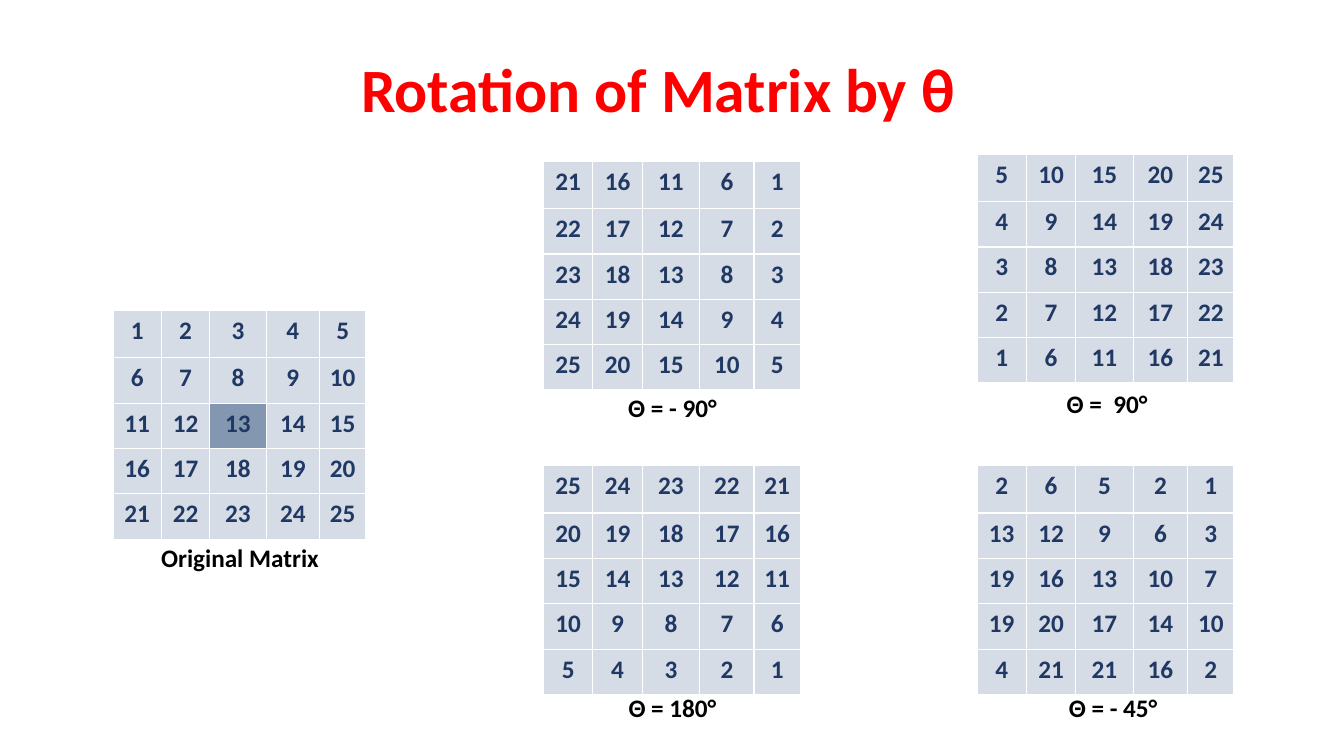
import lxml.etree
import pptx
import pptx.dml.color
import pptx.enum.text
import pptx.oxml.ns
import pptx.util

Inches = pptx.util.Inches
COLORS = {
    "title": "FF0000",
    "number": "203864",
    "cell": "D6DCE5",
    "pivot": "8497B0",
    "border": "FFFFFF",
    "caption": "000000",
}
COLUMN_WIDTHS = [0.49, 0.49, 0.57, 0.54, 0.46]
ORIGINAL_WIDTHS = [0.48, 0.48, 0.56, 0.53, 0.46]
ROW_HEIGHTS = [0.47, 0.45, 0.45, 0.45, 0.45]


class MatrixSlide:
    font_name = "Calibri"
    text_size = 18

    def __init__(self, presentation):
        self.slide = presentation.slides.add_slide(presentation.slide_layouts[5])

    def color(self, key):
        return pptx.dml.color.RGBColor.from_string(COLORS[key])

    def format_text(self, frame, text, color, size):
        paragraph = frame.paragraphs[0]
        paragraph.text = text
        paragraph.alignment = pptx.enum.text.PP_ALIGN.CENTER
        paragraph.font.name = self.font_name
        paragraph.font.size = pptx.util.Pt(size)
        paragraph.font.bold = True
        paragraph.font.color.rgb = self.color(color)
        return paragraph

    def title(self, text, left, top, width, height):
        heading = self.slide.shapes.title
        heading.left, heading.top = Inches(left), Inches(top)
        heading.width, heading.height = Inches(width), Inches(height)
        frame = heading.text_frame
        frame.vertical_anchor = pptx.enum.text.MSO_ANCHOR.MIDDLE
        frame.margin_right = Inches(0.38)
        self.format_text(frame, text, "title", 44).line_spacing = 0.9

    def caption(self, text, left, top):
        box = self.slide.shapes.add_textbox(
            Inches(left), Inches(top), Inches(1.78), Inches(0.4))
        box.text_frame.word_wrap = True
        self.format_text(box.text_frame, text, "caption", self.text_size)

    def borders(self, cell):
        properties = cell._tc.get_or_add_tcPr()
        qn = pptx.oxml.ns.qn
        for side in ("a:lnL", "a:lnR", "a:lnT", "a:lnB"):
            line = lxml.etree.SubElement(properties, qn(side), w=str(pptx.util.Pt(1)))
            fill = lxml.etree.SubElement(line, qn("a:solidFill"))
            lxml.etree.SubElement(fill, qn("a:srgbClr"), val=COLORS["border"])

    def matrix(self, rows, left, top, widths=COLUMN_WIDTHS, pivot=None):
        table = self.slide.shapes.add_table(
            len(rows), len(widths), Inches(left), Inches(top),
            Inches(sum(widths)), Inches(sum(ROW_HEIGHTS))).table
        table.first_row = False
        table.horz_banding = False
        for column, width in zip(table.columns, widths):
            column.width = Inches(width)
        for r, values in enumerate(rows):
            table.rows[r].height = Inches(ROW_HEIGHTS[r])
            for c, value in enumerate(values):
                cell = table.cell(r, c)
                self.borders(cell)
                cell.fill.solid()
                cell.fill.fore_color.rgb = self.color("pivot" if (r, c) == pivot else "cell")
                self.format_text(cell.text_frame, str(value), "number", self.text_size)


def clockwise(rows):
    return list(zip(*reversed(rows)))


def main():
    presentation = pptx.Presentation()
    presentation.slide_width = Inches(13.33)
    presentation.slide_height = Inches(7.5)
    page = MatrixSlide(presentation)

    original = [list(range(start, start + 5)) for start in range(1, 26, 5)]
    minus_90 = clockwise(original)
    half_turn = clockwise(minus_90)
    plus_90 = clockwise(half_turn)
    minus_45 = [
        [2, 6, 5, 2, 1],
        [13, 12, 9, 6, 3],
        [19, 16, 13, 10, 7],
        [19, 20, 17, 14, 10],
        [4, 21, 21, 16, 2],
    ]

    page.title("Rotation of Matrix by θ", 0.92, 0.19, 11.5, 1.45)
    page.matrix(original, 1.12, 3.08, ORIGINAL_WIDTHS, pivot=(2, 2))
    page.caption("Original Matrix", 1.49, 5.33)

    rotations = [
        (minus_90, 5.39, 1.6, "Θ = - 90°", 5.78, 3.84),
        (half_turn, 5.39, 4.62, "Θ = 180°", 5.78, 6.82),
        (plus_90, 9.69, 1.53, "Θ =  90°", 10.09, 3.8),
        (minus_45, 9.69, 4.62, "Θ = - 45°", 10.15, 6.82),
    ]
    for rows, left, top, angle, angle_left, angle_top in rotations:
        page.matrix(rows, left, top)
        page.caption(angle, angle_left, angle_top)

    presentation.save("out.pptx")


if __name__ == "__main__":
    main()
